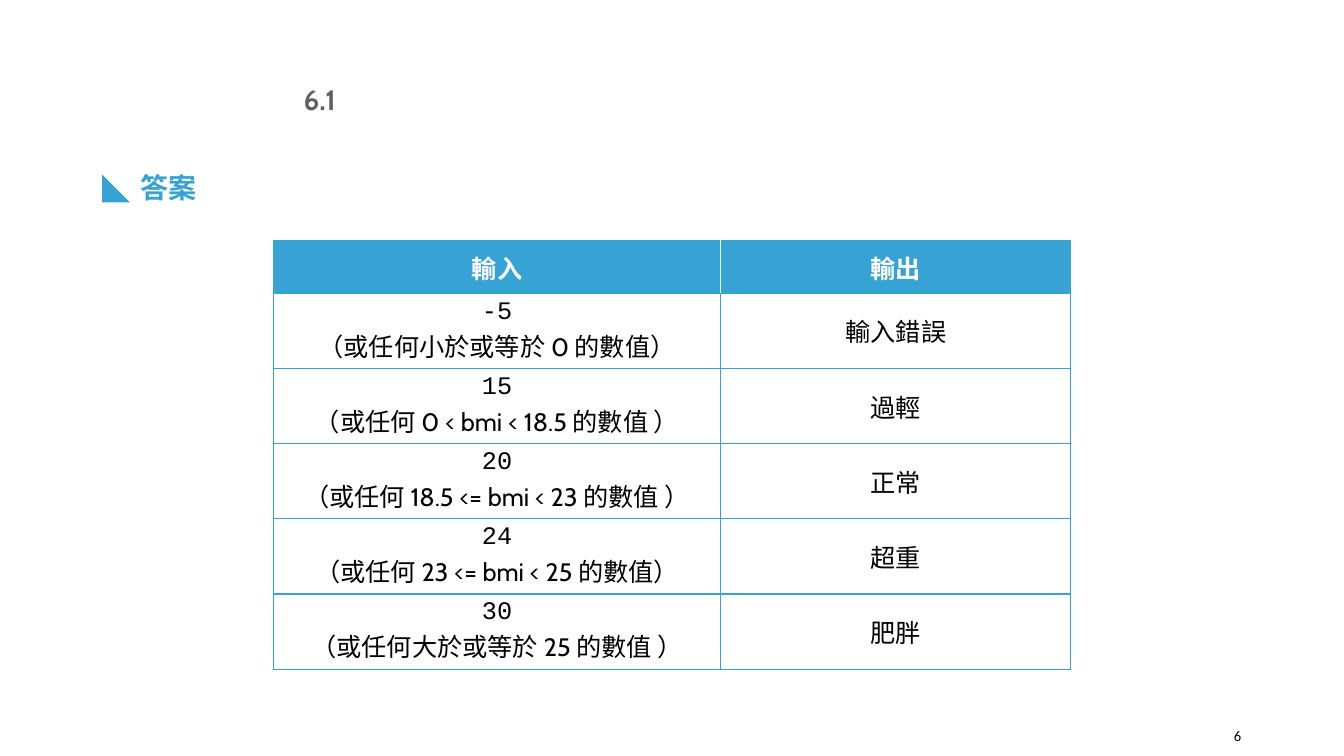
from lxml.etree import SubElement
from pptx import Presentation
from pptx.dml.color import RGBColor
from pptx.enum.text import MSO_ANCHOR, MSO_AUTO_SIZE, PP_ALIGN
from pptx.oxml.ns import qn
from pptx.util import Inches, Pt

BLUE = RGBColor(0x37, 0xA3, 0xD4)
GRAY = RGBColor(0x60, 0x60, 0x60)
BLACK = RGBColor(0, 0, 0)
WHITE = RGBColor(255, 255, 255)
HAN, LATIN, CODE = "Noto Sans CJK TC", "Cabin", "Courier New"

TITLE = "6.1"
HEADING = "答案"
PAGE_NUMBER = "6"
HEADERS = ("輸入", "輸出")
CASES = [
    ("-5", "（或任何小於或等於 0 的數值）", "輸入錯誤"),
    ("15", "（或任何 0 < bmi < 18.5 的數值 ）", "過輕"),
    ("20", "（或任何 18.5 <= bmi < 23 的數值 ）", "正常"),
    ("24", "（或任何 23 <= bmi < 25 的數值）", "超重"),
    ("30", "（或任何大於或等於 25 的數值 ）", "肥胖"),
]
COLUMNS = (4.44, 3.47)
HEADER_HEIGHT, CASE_HEIGHT = 0.52, 0.66


def write(para, text, font=HAN, size=18, color=BLACK, bold=False, align=PP_ALIGN.CENTER):
    para.alignment = align
    span = para.add_run()
    span.text = text
    span.font.name = font
    span.font.size = Pt(size)
    span.font.bold = bold
    span.font.color.rgb = color
    SubElement(span.font._element, qn("a:ea"), typeface=HAN)


def place(box, left, top, width, height, anchor):
    box.left, box.top, box.width, box.height = map(Inches, (left, top, width, height))
    frame = box.text_frame
    frame.word_wrap = True
    frame.auto_size = MSO_AUTO_SIZE.NONE
    frame.vertical_anchor = anchor
    return frame.paragraphs[0]


def add_bullet(para, symbol, indent):
    properties = para._p.get_or_add_pPr()
    properties.set("marL", str(Inches(indent)))
    properties.set("indent", str(-Inches(indent)))
    SubElement(properties, qn("a:buFont"), typeface=HAN)
    SubElement(properties, qn("a:buChar"), char=symbol)


def add_borders(cell, **colors):
    properties = cell._tc.get_or_add_tcPr()
    for side in "LRTB":
        line = SubElement(properties, qn("a:ln" + side), w=str(Pt(1)))
        fill = SubElement(line, qn("a:solidFill"))
        SubElement(fill, qn("a:srgbClr"), val=str(colors.get(side, BLUE)))


def add_answers(page):
    rows = len(CASES) + 1
    height = HEADER_HEIGHT + CASE_HEIGHT * len(CASES)
    frame = page.shapes.add_table(
        rows, len(COLUMNS), Inches(2.71), Inches(2.39), Inches(sum(COLUMNS)), Inches(height))
    table = frame.table
    for column, width in zip(table.columns, COLUMNS):
        column.width = Inches(width)
    for index, row in enumerate(table.rows):
        row.height = Inches(CASE_HEIGHT if index else HEADER_HEIGHT)

    for column, (text, inner) in enumerate(zip(HEADERS, "RL")):
        cell = table.cell(0, column)
        add_borders(cell, **{inner: WHITE})
        cell.fill.solid()
        cell.fill.fore_color.rgb = BLUE
        cell.vertical_anchor = MSO_ANCHOR.MIDDLE
        write(cell.text_frame.paragraphs[0], text, color=WHITE, bold=True)

    for row, (value, condition, result) in enumerate(CASES, 1):
        given, answer = table.cell(row, 0), table.cell(row, 1)
        for cell in (given, answer):
            add_borders(cell)
            cell.fill.background()
        write(given.text_frame.paragraphs[0], value, font=CODE)
        write(given.text_frame.add_paragraph(), condition, font=LATIN)
        answer.vertical_anchor = MSO_ANCHOR.MIDDLE
        write(answer.text_frame.paragraphs[0], result)


def main():
    deck = Presentation()
    deck.slide_width, deck.slide_height = Inches(13.33), Inches(7.5)
    page = deck.slides.add_slide(deck.slide_layouts[5])

    title = place(page.shapes.title, 2.7, 0.83, 0.94, 0.31, MSO_ANCHOR.MIDDLE)
    write(title, TITLE, font=LATIN, size=20, color=GRAY, bold=True)

    box = page.shapes.add_textbox(0, 0, 0, 0)
    heading = place(box, 0.92, 1.58, 11.5, 5.31, MSO_ANCHOR.TOP)
    add_bullet(heading, "◣", 0.38)
    heading.line_spacing = 1.2
    write(heading, HEADING, font=LATIN, size=20, color=BLUE, bold=True, align=PP_ALIGN.LEFT)

    add_answers(page)

    box = page.shapes.add_textbox(0, 0, 0, 0)
    number = place(box, 11.57, 7.1, 0.84, 0.4, MSO_ANCHOR.MIDDLE)
    write(number, PAGE_NUMBER, font="Calibri", size=10.5, align=PP_ALIGN.RIGHT)

    deck.save("out.pptx")


if __name__ == "__main__":
    main()
